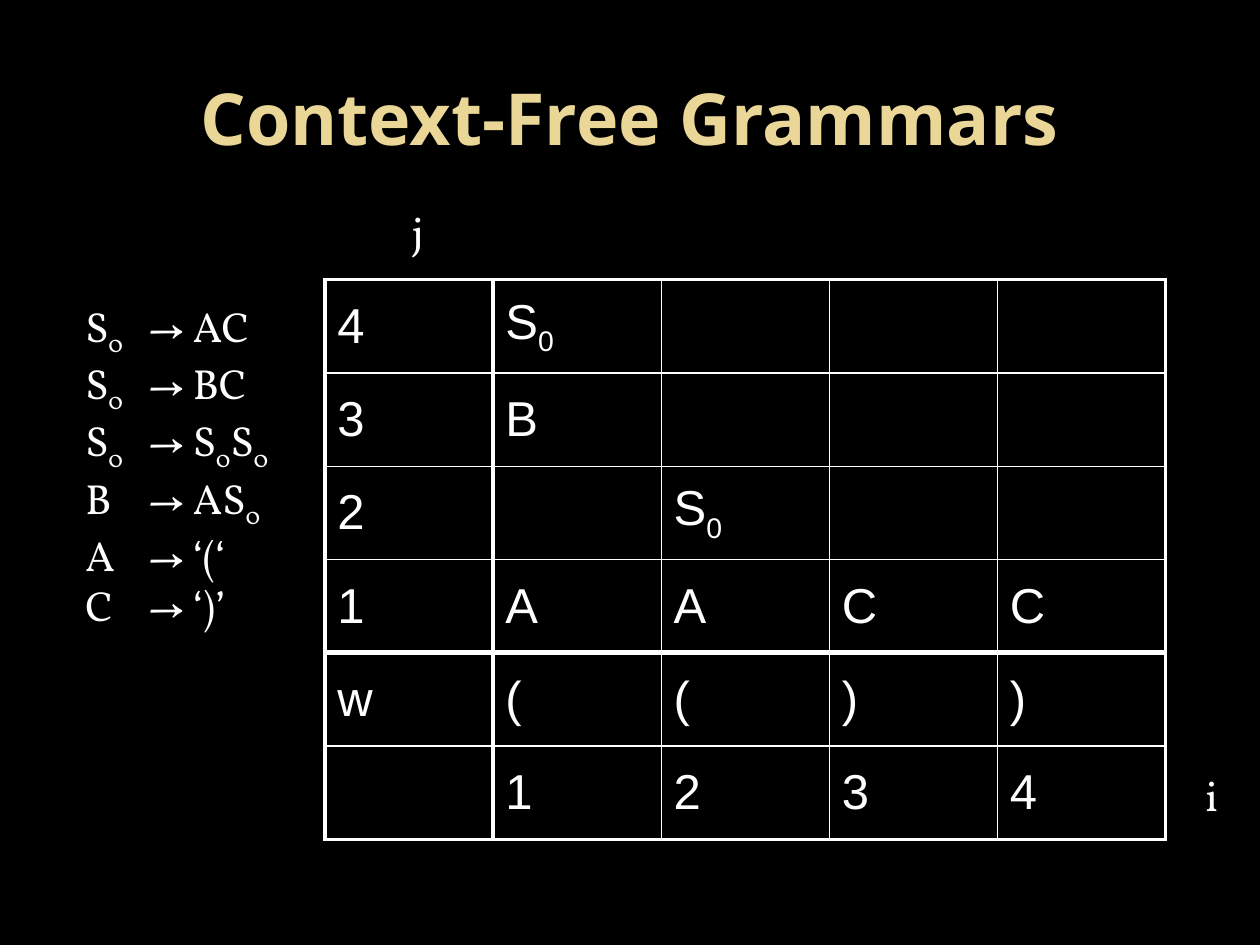
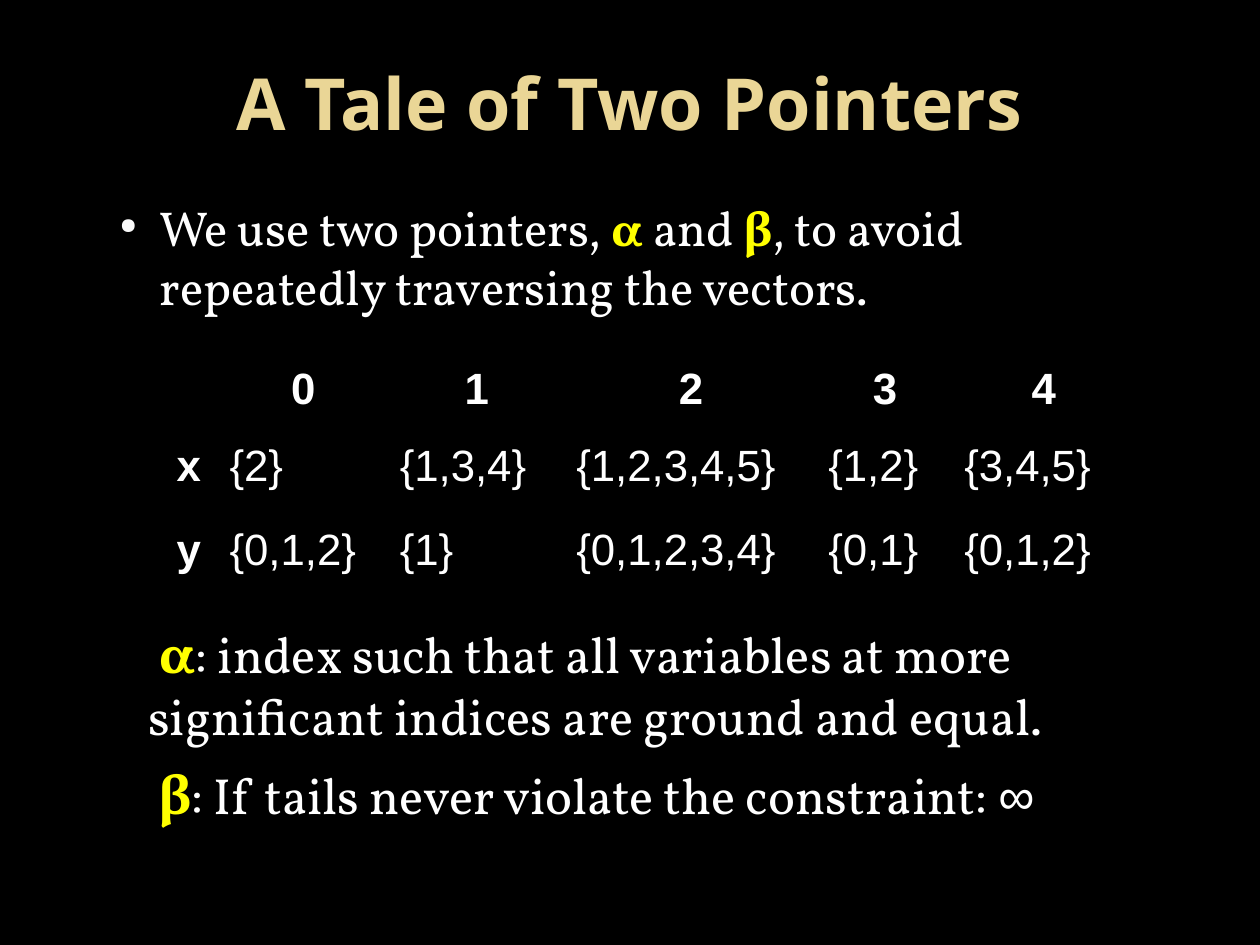
from dataclasses import dataclass
from typing import NamedTuple

from lxml import etree
from pptx import Presentation
from pptx.dml.color import RGBColor
from pptx.enum.text import MSO_ANCHOR, PP_ALIGN
from pptx.oxml.ns import qn
from pptx.util import Cm, Pt

LEFT, CENTER = PP_ALIGN.LEFT, PP_ALIGN.CENTER
TOP, MIDDLE = MSO_ANCHOR.TOP, MSO_ANCHOR.MIDDLE
BLANK_LAYOUT = 6

COLORS = {
    "background": "000000",
    "title": "EAD696",
    "text": "FFFFFF",
    "pointer": "FFFF00",
    "bullet": "F9F9F9",
}
TITLE_FONT, BODY_FONT, TABLE_FONT = "Open Sans", "Vollkorn", "Arial"


class Box(NamedTuple):
    left: float
    top: float
    width: float
    height: float


class Insets(NamedTuple):
    left: float = 0.25
    top: float = 0.13
    right: float = 0.25
    bottom: float = 0.13


class Span(NamedTuple):
    """A run, with only what differs from its paragraph."""
    text: str
    color: str | None = None
    bold: bool | None = None
    size: float | None = None
    font: str | None = None
    subscript: bool = False


@dataclass(frozen=True)
class TextStyle:
    font: str
    size: float
    color: str = "text"
    bold: bool = False
    align: PP_ALIGN = LEFT
    line_spacing: float | None = None
    space_between: float = 0
    margin: float = 0
    indent: float = 0
    bullet: str | None = None
    tab: float | None = None


@dataclass(frozen=True)
class Grid:
    left: float
    top: float
    columns: list[float]
    rows: list[float]
    column_edges: list[float]
    row_edges: list[float]
    edge_color: str
    insets: Insets


Line = list[Span]
TITLE = TextStyle(TITLE_FONT, 41, "title", bold=True, align=CENTER)
LABEL = TextStyle(BODY_FONT, 24)
RULE = TextStyle(BODY_FONT, 24, tab=0.91)
BULLET = TextStyle(BODY_FONT, 28, margin=1.09, indent=-0.81, bullet="●")
DEFINITION = TextStyle(BODY_FONT, 29, space_between=7.3, margin=0.86, indent=0.22)
CHART_CELL = TextStyle(TABLE_FONT, 28)
VECTOR_CELL = TextStyle(TABLE_FONT, 25, line_spacing=0.93)
VECTOR_NAME = TextStyle(TABLE_FONT, 25, bold=True, line_spacing=0.93)
VECTOR_INDEX = TextStyle(TABLE_FONT, 25, bold=True, align=CENTER, line_spacing=0.93)
BODY_INSETS = Insets(0.23, 0.18, 0.23, 0.13)


def rgb(name: str) -> RGBColor:
    return RGBColor.from_string(COLORS[name])


def symbols(text: str) -> Line:
    """Split grammar symbols so that each 0 becomes a subscript."""
    spans: Line = []
    for index, part in enumerate(text.split("0")):
        if index:
            spans.append(Span("0", subscript=True))
        if part:
            spans.append(Span(part))
    return spans


def pointer(letter: str, size: float | None = None) -> Span:
    return Span(letter, "pointer", True, size)


# Text
def format_paragraph(paragraph, style: TextStyle) -> None:
    properties = paragraph._p.get_or_add_pPr()
    properties.set("marL", str(Cm(style.margin)))
    properties.set("indent", str(Cm(style.indent)))
    if style.bullet:
        color = etree.SubElement(properties, qn("a:buClr"))
        etree.SubElement(color, qn("a:srgbClr"), val=COLORS["bullet"])
        etree.SubElement(properties, qn("a:buSzPct"), val="45000")
        etree.SubElement(properties, qn("a:buChar"), char=style.bullet)
    else:
        etree.SubElement(properties, qn("a:buNone"))
    if style.tab:
        tabs = etree.SubElement(properties, qn("a:tabLst"))
        etree.SubElement(tabs, qn("a:tab"), pos=str(Cm(style.tab)), algn="l")
    paragraph.alignment = style.align
    if style.line_spacing:
        paragraph.line_spacing = style.line_spacing
    font = paragraph.font
    font.name, font.size, font.bold = style.font, Pt(style.size), style.bold
    font.color.rgb = rgb(style.color)


def add_span(paragraph, span: Span) -> None:
    run = paragraph.add_run()
    run.text = span.text
    if span.color:
        run.font.color.rgb = rgb(span.color)
    if span.bold is not None:
        run.font.bold = span.bold
    if span.size:
        run.font.size = Pt(span.size)
    if span.font:
        run.font.name = span.font
    if span.subscript:
        run._r.get_or_add_rPr().set("baseline", "-25000")


def write_lines(text_frame, lines: list[Line], style: TextStyle) -> None:
    for index, line in enumerate(lines):
        paragraph = text_frame.add_paragraph() if index else text_frame.paragraphs[0]
        format_paragraph(paragraph, style)
        if index and style.space_between:
            paragraph.space_before = Pt(style.space_between)
        for span in line:
            add_span(paragraph, span)


def set_insets(target, insets: Insets) -> None:
    target.margin_left, target.margin_top = Cm(insets.left), Cm(insets.top)
    target.margin_right, target.margin_bottom = Cm(insets.right), Cm(insets.bottom)


def add_text(slide, box: Box, lines: list[Line], style: TextStyle,
             insets: Insets = Insets(), anchor: MSO_ANCHOR = TOP, wrap: bool = True) -> None:
    text_frame = slide.shapes.add_textbox(*(Cm(length) for length in box)).text_frame
    text_frame.word_wrap = wrap
    text_frame.vertical_anchor = anchor
    set_insets(text_frame, insets)
    write_lines(text_frame, lines, style)


# Tables
def set_cell_edges(cell, widths: dict[str, float], color: str) -> None:
    properties = cell._tc.get_or_add_tcPr()
    for position, (side, width) in enumerate(widths.items()):
        edge = etree.Element(qn(f"a:ln{side}"), w=str(Pt(width)))
        fill = etree.SubElement(edge, qn("a:solidFill"))
        etree.SubElement(fill, qn("a:srgbClr"), val=COLORS[color])
        properties.insert(position, edge)


def add_grid(slide, grid: Grid):
    frame = slide.shapes.add_table(
        len(grid.rows), len(grid.columns), Cm(grid.left), Cm(grid.top),
        Cm(sum(grid.columns)), Cm(sum(grid.rows)))
    table = frame.table
    table.first_row = table.horz_banding = False
    for column, width in zip(table.columns, grid.columns):
        column.width = Cm(width)
    for row_index, height in enumerate(grid.rows):
        table.rows[row_index].height = Cm(height)
        for column_index in range(len(grid.columns)):
            cell = table.cell(row_index, column_index)
            cell.fill.background()
            cell.vertical_anchor = MIDDLE
            set_insets(cell, grid.insets)
            set_cell_edges(cell, {
                "L": grid.column_edges[column_index],
                "R": grid.column_edges[column_index + 1],
                "T": grid.row_edges[row_index],
                "B": grid.row_edges[row_index + 1],
            }, grid.edge_color)
    return table


# Slides
def new_slide(presentation, title: str, title_box: Box):
    slide = presentation.slides.add_slide(presentation.slide_layouts[BLANK_LAYOUT])
    slide.background.fill.solid()
    slide.background.fill.fore_color.rgb = rgb("background")
    add_text(slide, title_box, [[Span(title)]], TITLE, anchor=MIDDLE)
    return slide


def add_grammar_slide(presentation) -> None:
    slide = new_slide(presentation, "Context-Free Grammars", Box(1.27, 0.76, 22.86, 3.18))

    # Parsing chart
    chart = [
        ["4", "S0", "", "", ""],
        ["3", "B", "", "", ""],
        ["2", "", "S0", "", ""],
        ["1", "A", "A", "C", "C"],
        ["w", "(", "(", ")", ")"],
        ["", "1", "2", "3", "4"],
    ]
    table = add_grid(slide, Grid(
        6.55, 5.64, [3.39] * 5, [1.88] * 6,
        [2.25, 3, 1, 1, 1, 2.25], [2.25, 1, 1, 1, 3, 1, 2.25], "text", Insets()))
    for row_index, row in enumerate(chart):
        for column_index, text in enumerate(row):
            if text:
                text_frame = table.cell(row_index, column_index).text_frame
                write_lines(text_frame, [symbols(text)], CHART_CELL)

    # Axis names
    for name, left, top in (("i", 24.05, 15.39), ("j", 8.05, 4.01)):
        add_text(slide, Box(left, top, 0.71, 1.27), [[Span(name)]], LABEL, wrap=False)

    # Production rules
    rules = [("S0", "AC"), ("S0", "BC"), ("S0", "S0S0"),
             ("B", "AS0"), ("A", "‘(‘"), ("C", "‘)’")]
    lines = [symbols(f"{head}\t→ {body}") for head, body in rules]
    add_text(slide, Box(0.2, 5.92, 5.72, 6.35), lines, RULE, Insets(left=1.52))


def add_pointers_slide(presentation) -> None:
    slide = new_slide(presentation, "A Tale of Two Pointers", Box(1.9, 0.46, 21.59, 3.18))

    # Introduction
    introduction = [
        Span("We use two pointers, "), pointer("α "), Span("and "), pointer("β"),
        Span(", to avoid repeatedly traversing the vectors."),
    ]
    add_text(slide, Box(1.9, 3.81, 21.59, 3.18), [introduction], BULLET, BODY_INSETS)

    # Vectors
    vectors = [
        ["", "0", "1", "2", "3", "4"],
        ["x", "{2}", "{1,3,4}", "{1,2,3,4,5}", "{1,2}", "{3,4,5}"],
        ["y", "{0,1,2}", "{1}", "{0,1,2,3,4}", "{0,1}", "{0,1,2}"],
    ]
    table = add_grid(slide, Grid(
        3.33, 7.19, [1.07, 3.43, 3.56, 5.08, 2.74, 3.66], [1.45, 1.68, 1.68],
        [2.25, 1, 1, 1, 1, 1, 2.25], [2.25, 1, 1, 2.25], "background",
        Insets(0.23, 0.05, 0.23, 0.13)))
    for row_index, row in enumerate(vectors):
        for column_index, text in enumerate(row):
            if not text:
                continue
            if row_index == 0:
                style = VECTOR_INDEX
            else:
                style = VECTOR_CELL if column_index else VECTOR_NAME
            write_lines(table.cell(row_index, column_index).text_frame, [[Span(text)]], style)

    # Pointer definitions
    definitions = [
        [pointer("α", 32),
         Span(": index such that all variables at more significant indices "
              "are ground and equal.")],
        [pointer("β", 32), Span(": If tails never violate the constraint: "),
         Span("∞", font=TABLE_FONT)],
    ]
    add_text(slide, Box(1.9, 12.27, 23.5, 5.92), definitions, DEFINITION,
             BODY_INSETS._replace(right=0.6))


def main() -> None:
    presentation = Presentation()
    presentation.slide_width, presentation.slide_height = Cm(25.4), Cm(19.05)
    add_grammar_slide(presentation)
    add_pointers_slide(presentation)
    presentation.save("out.pptx")


if __name__ == "__main__":
    main()
